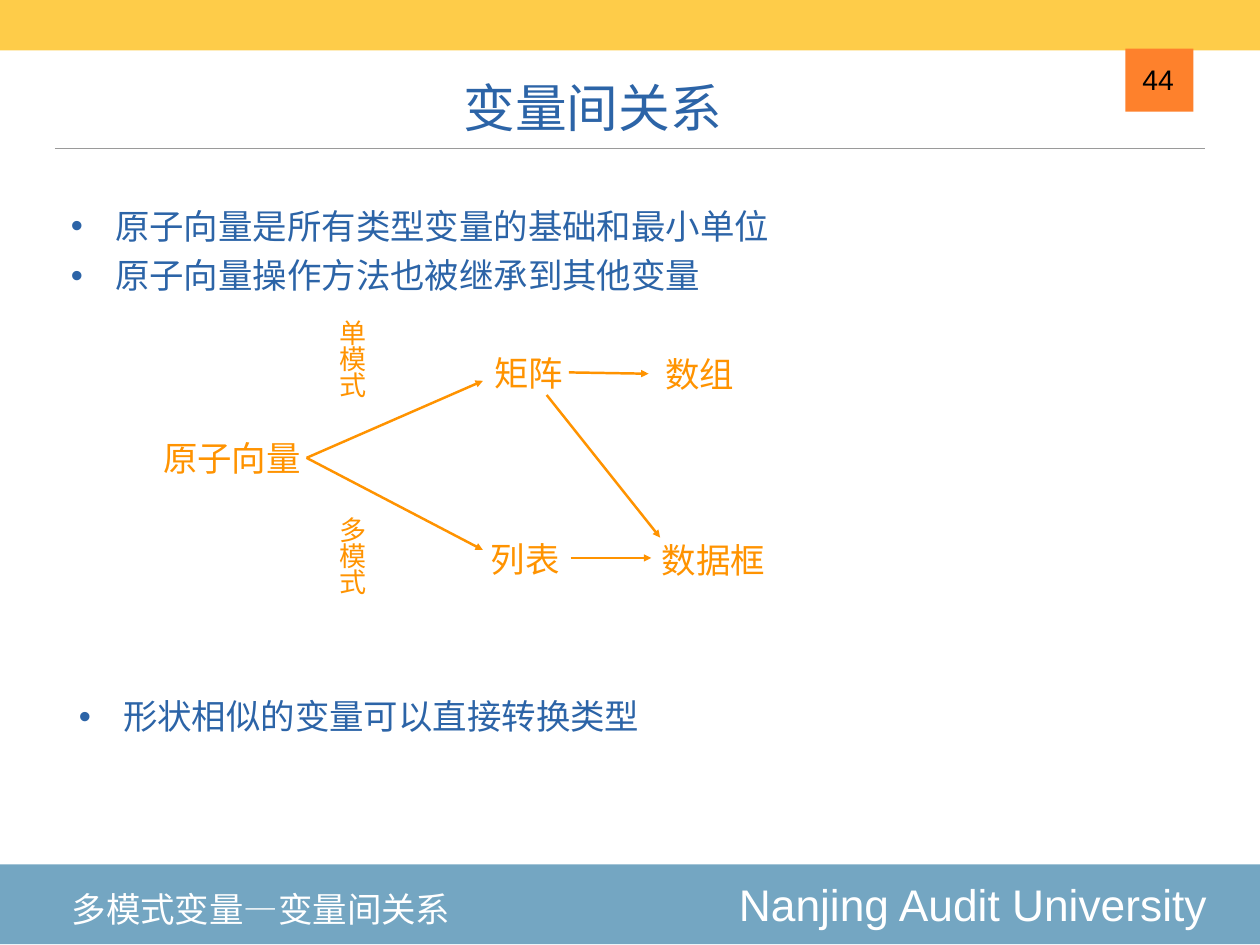
"""Build the slide on how R variable types relate to one another."""
from lxml import etree
from pptx import Presentation
from pptx.dml.color import RGBColor
from pptx.enum.shapes import MSO_CONNECTOR, MSO_SHAPE
from pptx.enum.text import MSO_ANCHOR, MSO_AUTO_SIZE, PP_ALIGN
from pptx.oxml.ns import qn
from pptx.util import Pt

PX = 9144
RECT, STRAIGHT = MSO_SHAPE.RECTANGLE, MSO_CONNECTOR.STRAIGHT
MIDDLE, BOTTOM = MSO_ANCHOR.MIDDLE, MSO_ANCHOR.BOTTOM
LEFT, CENTER, RIGHT = PP_ALIGN.LEFT, PP_ALIGN.CENTER, PP_ALIGN.RIGHT
NO_AUTOSIZE = MSO_AUTO_SIZE.NONE
RIGHT_SIDE = 3
THEME = {
    "blue": "2C64A7", "orange": "FF9300", "white": "FFFFFF", "black": "000000",
    "rule": "9A9A9A", "footer": "74A6C2", "banner": "FECC49", "badge": "FE812C",
    "sans": "Arial", "mono": "Courier New",
    "title": 42, "school": 36, "body": 28, "page": 23, "label": 22,
}


def write(shape, lines, size, color, font="mono", align=LEFT, anchor=MIDDLE,
          wrap=True, spacing=None, bullet=False, right_inset=6):
    """Fill a shape with one formatted run per line."""
    frame = shape.text_frame
    frame.auto_size = NO_AUTOSIZE
    frame.word_wrap = wrap
    frame.vertical_anchor = anchor
    frame.margin_left = frame.margin_top = frame.margin_bottom = 6 * PX
    frame.margin_right = right_inset * PX
    for index, line in enumerate(lines):
        paragraph = frame.add_paragraph() if index else frame.paragraphs[0]
        paragraph.alignment = align
        if spacing:
            paragraph.line_spacing = spacing
        if bullet:
            properties = paragraph._p.get_or_add_pPr()
            properties.set("marL", str(50 * PX))
            properties.set("indent", str(-50 * PX))
            etree.SubElement(properties, qn("a:buFont"), typeface="Arial")
            etree.SubElement(properties, qn("a:buChar"), char="•")
        run = paragraph.add_run()
        run.text = line
        run.font.size = Pt(THEME[size])
        run.font.name = THEME[font]
        run.font.color.rgb = RGBColor.from_string(THEME[color])


def draw_line(start, end, color, width, arrow=False):
    """Draw a straight line, with an arrowhead at its end if asked."""
    line = slide.shapes.add_connector(STRAIGHT, *(v * PX for v in start + end))
    line.line.color.rgb = RGBColor.from_string(THEME[color])
    line.line.width = Pt(width)
    if arrow:
        etree.SubElement(line.line._get_or_add_ln(), qn("a:tailEnd"), type="triangle")
    etree.SubElement(line._element.spPr, qn("a:effectLst"))
    return line


presentation = Presentation()
presentation.slide_width, presentation.slide_height = 1422 * PX, 1067 * PX
slide = presentation.slides.add_slide(presentation.slide_layouts[5])

draw_line((62, 168), (1360, 168), "rule", 1)
bands = {}
for band, box in {
    "footer": (-2, 976, 1426, 90),
    "banner": (-2, 0, 1426, 57),
    "badge": (1270, 55, 77, 71),
}.items():
    bands[band] = slide.shapes.add_shape(RECT, *(v * PX for v in box))
    bands[band].shadow.inherit = False
    bands[band].fill.solid()
    bands[band].fill.fore_color.rgb = RGBColor.from_string(THEME[band])
    bands[band].line.fill.background()
write(bands["footer"], ["Nanjing Audit University"], "school", "white", "sans",
      RIGHT, right_inset=62)

title = slide.shapes.title
title.left, title.top, title.width, title.height = (v * PX for v in (83, 62, 1172, 100))
write(title, ["变量间关系"], "title", "blue", "sans", CENTER, BOTTOM)

page_number = slide.shapes.add_textbox(*(v * PX for v in (1301, 65, 30, 49)))
write(page_number, ["44"], "page", "black", "sans", RIGHT, BOTTOM, wrap=False)

for box, points in (
    ((74, 218, 1282, 120), ["原子向量是所有类型变量的基础和最小单位", "原子向量操作方法也被继承到其他变量"]),
    ((83, 772, 1282, 64), ["形状相似的变量可以直接转换类型"]),
):
    bullets = slide.shapes.add_textbox(*(v * PX for v in box))
    write(bullets, points, "body", "blue", spacing=1.2, bullet=True)

nodes = {}
for name, box in {
    "原子向量": (178, 488, 168, 58),
    "矩阵": (552, 387, 90, 67),
    "数组": (745, 388, 90, 67),
    "列表": (548, 597, 90, 67),
    "数据框": (741, 598, 129, 67),
}.items():
    nodes[name] = slide.shapes.add_textbox(*(v * PX for v in box))
    write(nodes[name], [name], "body", "orange", wrap=False)

for mode, top in (("单模式", 349), ("多模式", 571)):
    mode_label = slide.shapes.add_textbox(*(v * PX for v in (377, top, 51, 119)))
    write(mode_label, [mode], "label", "orange", spacing=0.8)

for source, start, end in (
    ("原子向量", (346, 517), (545, 430)),
    ("原子向量", (346, 517), (545, 621)),
    ("矩阵", (642, 421), (732, 422)),
    (None, (644, 630), (735, 630)),
    (None, (617, 446), (745, 607)),
):
    relation = draw_line(start, end, "orange", 2, arrow=True)
    if source:
        relation.begin_connect(nodes[source], RIGHT_SIDE)

section = slide.shapes.add_textbox(*(v * PX for v in (75, 983, 678, 72)))
write(section, ["多模式变量—变量间关系"], "body", "white", "sans", anchor=BOTTOM)

presentation.save("out.pptx")
